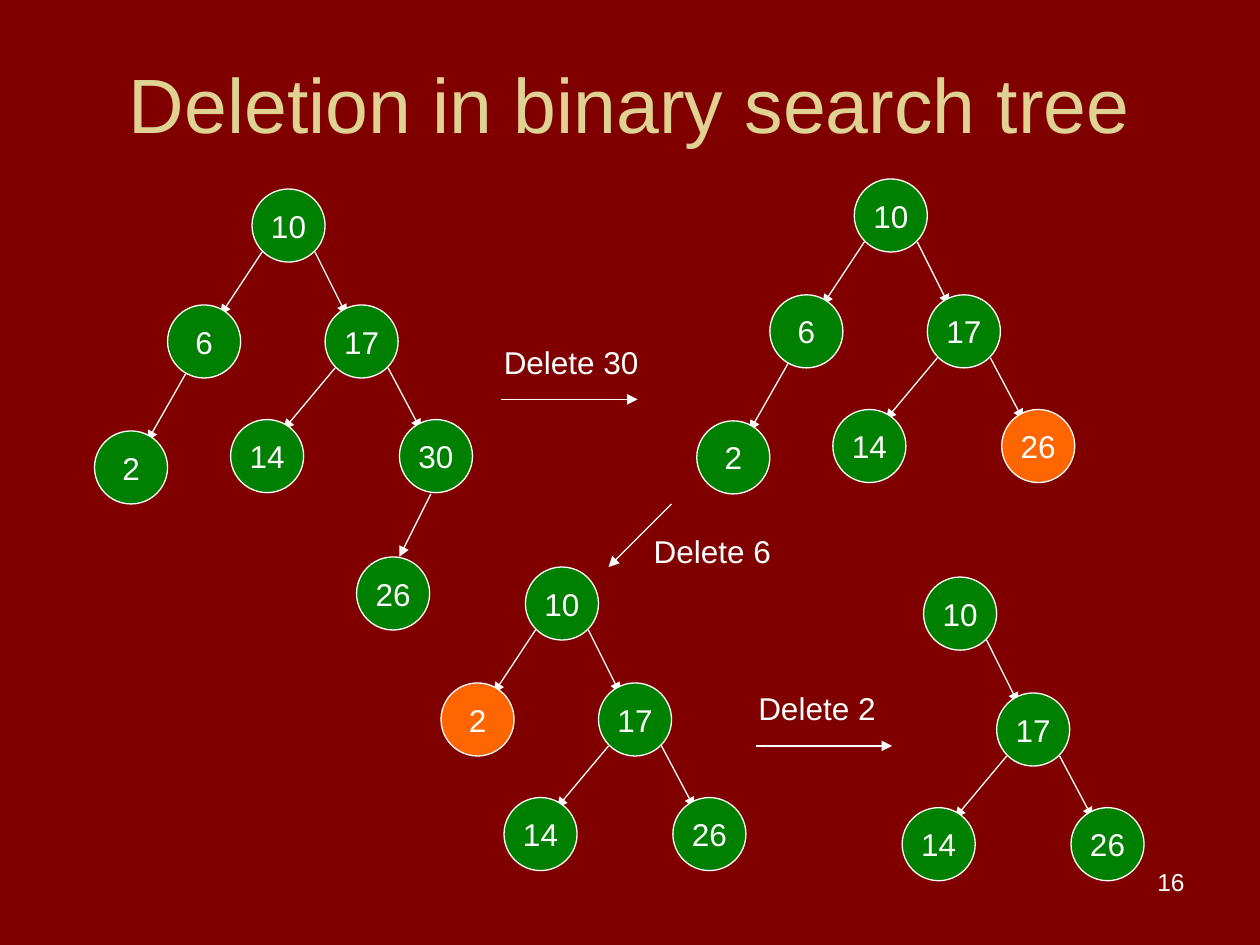
from collections import namedtuple

from lxml.etree import SubElement
from pptx import Presentation
from pptx.dml.color import RGBColor
from pptx.enum.shapes import MSO_CONNECTOR, MSO_SHAPE
from pptx.enum.text import MSO_ANCHOR, MSO_AUTO_SIZE, PP_ALIGN
from pptx.oxml.ns import qn
from pptx.util import Inches, Pt

BACKGROUND = "800000"
GOLD = "DFD293"
WHITE = "FFFFFF"
GREEN = "008000"
ORANGE = "FF6600"
DIAMETER = 0.58

Slot = namedtuple("Slot", "x y parent start end")
LEFT_START, RIGHT_START = (0.08, 0.5), (0.5, 0.5)
LEFT_END, RIGHT_END = (0.42, 0.08), (0.17, 0.08)
SLOTS = {
    "root": Slot(0, 0, None, None, None),
    "left": Slot(-0.67, 0.92, "root", LEFT_START, LEFT_END),
    "right": Slot(0.58, 0.92, "root", RIGHT_START, RIGHT_END),
    "left left": Slot(-1.25, 1.92, "left", (0.17, 0.5), LEFT_END),
    "right left": Slot(-0.17, 1.83, "right", LEFT_START, LEFT_END),
    "right right": Slot(1.17, 1.83, "right", RIGHT_START, RIGHT_END),
    "lowest": Slot(0.83, 2.92, "right right", (0.25, 0.59), (0.34, 0)),
}

LARGE_TREE = {"root": 10, "left": 6, "right": 17, "left left": 2, "right left": 14}
SMALL_TREE = {"root": 10, "right": 17, "right left": 14, "right right": 26}
TREES = [
    (2, 1.5, LARGE_TREE | {"right right": 30, "lowest": 26}, None),
    (6.78, 1.42, LARGE_TREE | {"right right": 26}, "right right"),
    (4.17, 4.5, SMALL_TREE | {"left": 2}, "left"),
    (7.33, 4.58, SMALL_TREE, None),
]
STEPS = [
    ("Delete 30", (3.9, 2.67, 1.27, 0.4), (3.98, 3.17), (5.06, 3.17)),
    ("Delete 6", (5.09, 4.17, 1.13, 0.4), (5.33, 4), (4.83, 4.5)),
    ("Delete 2", (5.92, 5.42, 1.13, 0.4), (6, 5.92), (7.08, 5.92)),
]


def color(value):
    return RGBColor.from_string(value)


def write(shape, text, size, tint, align, anchor, wrap):
    frame = shape.text_frame
    frame.text = text
    frame.word_wrap = wrap
    frame.vertical_anchor = anchor
    paragraph = frame.paragraphs[0]
    paragraph.alignment = align
    font = paragraph.runs[0].font
    font.name = "Arial"
    font.size = Pt(size)
    font.color.rgb = color(tint)


def add_text(page, text, place, size, tint=WHITE, align=PP_ALIGN.LEFT,
             anchor=MSO_ANCHOR.TOP, wrap=True):
    box = page.shapes.add_textbox(*map(Inches, place))
    write(box, text, size, tint, align, anchor, wrap)
    return box


def add_arrow(page, start, end):
    arrow = page.shapes.add_connector(
        MSO_CONNECTOR.STRAIGHT, *map(Inches, (*start, *end)))
    arrow.line.color.rgb = color(WHITE)
    arrow.line.width = Pt(0.75)
    SubElement(arrow.line._get_or_add_ln(), qn("a:tailEnd"), type="triangle")
    SubElement(arrow._element.spPr, qn("a:effectLst"))


def add_node(page, x, y, label, fill):
    node = page.shapes.add_shape(
        MSO_SHAPE.OVAL, *map(Inches, (x, y, DIAMETER, DIAMETER)))
    node.shadow.inherit = False
    node.fill.solid()
    node.fill.fore_color.rgb = color(fill)
    node.line.color.rgb = color(WHITE)
    node.line.width = Pt(0.75)
    write(node, label, 18, WHITE, PP_ALIGN.CENTER, MSO_ANCHOR.MIDDLE, False)


def add_tree(page, x, y, labels, changed):
    def locate(slot, offset=(0, 0)):
        return x + slot.x + offset[0], y + slot.y + offset[1]

    for name in labels:
        slot = SLOTS[name]
        if slot.parent:
            add_arrow(page, locate(SLOTS[slot.parent], slot.start),
                      locate(slot, slot.end))
    for name, label in labels.items():
        fill = ORANGE if name == changed else GREEN
        add_node(page, *locate(SLOTS[name]), str(label), fill)


def add_step(page, text, place, start, end):
    add_arrow(page, start, end)
    box = add_text(page, text, place, 18, wrap=False)
    box.text_frame.auto_size = MSO_AUTO_SIZE.SHAPE_TO_FIT_TEXT


def main():
    deck = Presentation()
    deck.slide_width, deck.slide_height = Inches(10), Inches(7.5)
    page = deck.slides.add_slide(deck.slide_layouts[6])
    page.background.fill.solid()
    page.background.fill.fore_color.rgb = color(BACKGROUND)
    add_text(page, "Deletion in binary search tree", (0.5, 0.3, 9, 1.03), 44,
             GOLD, PP_ALIGN.CENTER, MSO_ANCHOR.MIDDLE)
    for tree in TREES:
        add_tree(page, *tree)
    for step in STEPS:
        add_step(page, *step)
    add_text(page, "16", (7.17, 6.83, 2.33, 0.52), 14, align=PP_ALIGN.RIGHT)
    deck.save("out.pptx")


if __name__ == "__main__":
    main()
